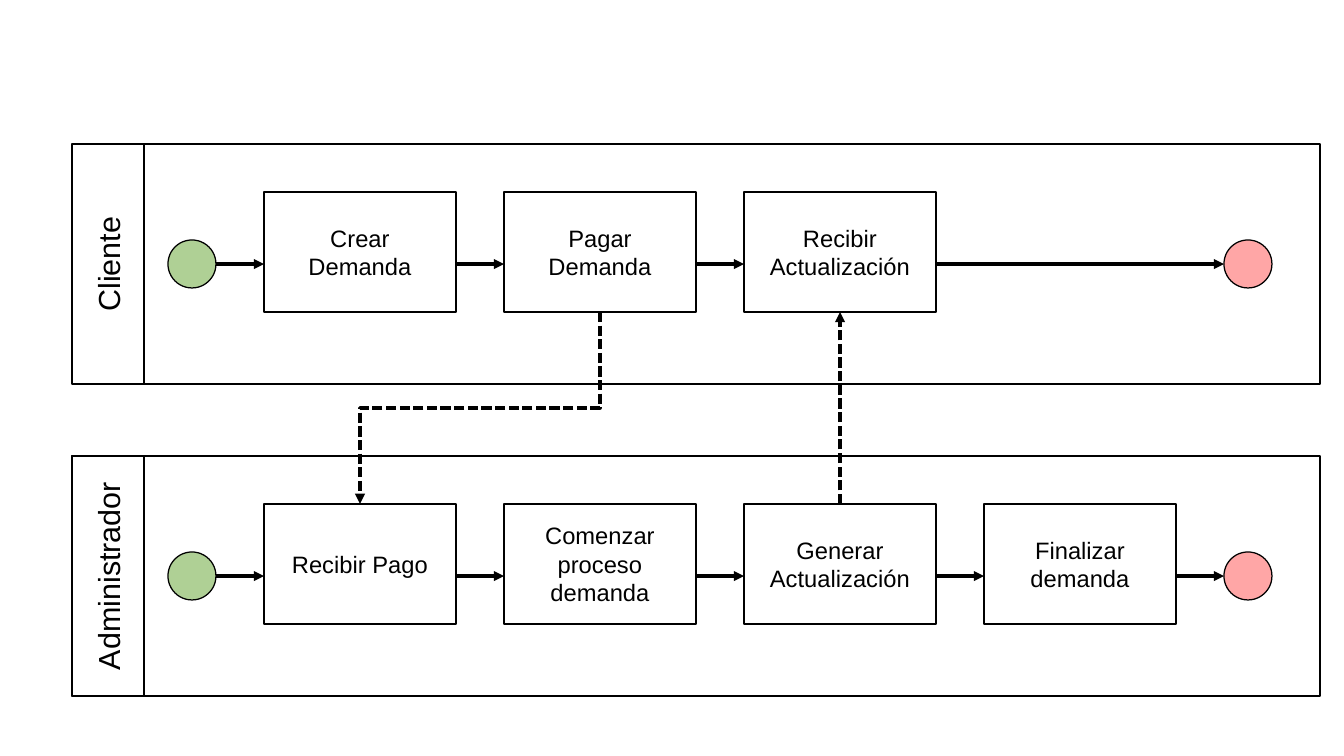
import pptx
import pptx.util
import pptx.dml.color
import pptx.enum.dml
import pptx.enum.shapes
import pptx.enum.text
import pptx.oxml
import pptx.oxml.ns

Cm = pptx.util.Cm
Pt = pptx.util.Pt
RGBColor = pptx.dml.color.RGBColor
KIND = pptx.enum.shapes.MSO_SHAPE
LINK = pptx.enum.shapes.MSO_CONNECTOR
qn = pptx.oxml.ns.qn

BLACK = RGBColor(0x00, 0x00, 0x00)
WHITE = RGBColor(0xFF, 0xFF, 0xFF)
GREEN = RGBColor(0xAF, 0xD0, 0x95)
PINK = RGBColor(0xFF, 0xA6, 0xA6)

deck = pptx.Presentation()
deck.slide_width, deck.slide_height = Cm(28), Cm(15.75)
slide = deck.slides.add_slide(deck.slide_layouts[6])


def draw(text, left, top, width, height, kind=KIND.RECTANGLE, fill=WHITE, size=14, turn=0):
    """Add an outlined shape with centred text; lengths are in cm."""
    shape = slide.shapes.add_shape(kind, Cm(left), Cm(top), Cm(width), Cm(height))
    shape.shadow.inherit = False
    shape.rotation = turn
    shape.fill.solid()
    shape.fill.fore_color.rgb = fill
    shape.line.color.rgb = BLACK
    shape.line.width = Pt(0)
    if text:
        frame = shape.text_frame
        frame.word_wrap = True
        frame.vertical_anchor = pptx.enum.text.MSO_ANCHOR.MIDDLE
        para = frame.paragraphs[0]
        para.alignment = pptx.enum.text.PP_ALIGN.CENTER
        run = para.add_run()
        run.text = text
        run.font.name = "Arial"
        run.font.size = Pt(size)
        run.font.color.rgb = BLACK


def arrow(x1, y1, x2, y2, kind=LINK.STRAIGHT, dash=False, turn=0):
    """Add a line with an arrowhead at its end; lengths are in cm."""
    link = slide.shapes.add_connector(kind, Cm(x1), Cm(y1), Cm(x2), Cm(y2))
    link.line.color.rgb = BLACK
    link.line.width = Pt(0)
    if dash:
        link.line.dash_style = pptx.enum.dml.MSO_LINE.SQUARE_DOT
    props = link._element.spPr
    if turn:
        props.find(qn("a:xfrm")).set("rot", str(turn * 60000))
    tail = pptx.oxml.parse_xml(
        '<a:tailEnd xmlns:a="http://schemas.openxmlformats.org/drawingml/2006/main" type="triangle"/>')
    props.find(qn("a:ln")).append(tail)
    props.append(props.makeelement(qn("a:effectLst"), {}))


# Each lane: name, left edge, top edge, tasks
LANES = [
    ("Cliente", 2, 3, ["Crear Demanda", "Pagar Demanda", "Recibir Actualización"]),
    ("Administrador", 1.5, 9.5, ["Recibir Pago", "Comenzar proceso demanda",
                                 "Generar Actualización", "Finalizar demanda"]),
]
RIGHT, HIGH = 27.5, 5
START, END, DOT = 3.5, 25.5, 1
FIRST, STEP, WIDE, TALL = 5.5, 5, 4, 2.5

for name, left, top, tasks in LANES:
    mid = top + HIGH / 2
    draw("", left, top, RIGHT - left, HIGH)
    draw(name, -0.25, mid - 0.75, HIGH, 1.5, size=18, turn=270)
    draw("", START, mid - DOT / 2, DOT, DOT, kind=KIND.OVAL, fill=GREEN)
    draw("", END, mid - DOT / 2, DOT, DOT, kind=KIND.OVAL, fill=PINK)
    exit = START + DOT
    for col, task in enumerate(tasks):
        box = FIRST + col * STEP
        draw(task, box, top + 1, WIDE, TALL)
        arrow(exit, mid, box, mid)
        exit = box + WIDE
    arrow(exit, mid, END, mid)

# Messages between the lanes
arrow(17.5, 10.5, 17.5, 6.5, dash=True)
# A quarter turn makes the elbow run down, across and down
arrow(8, 6, 12, 11, kind=LINK.ELBOW, dash=True, turn=90)

deck.save("out.pptx")
